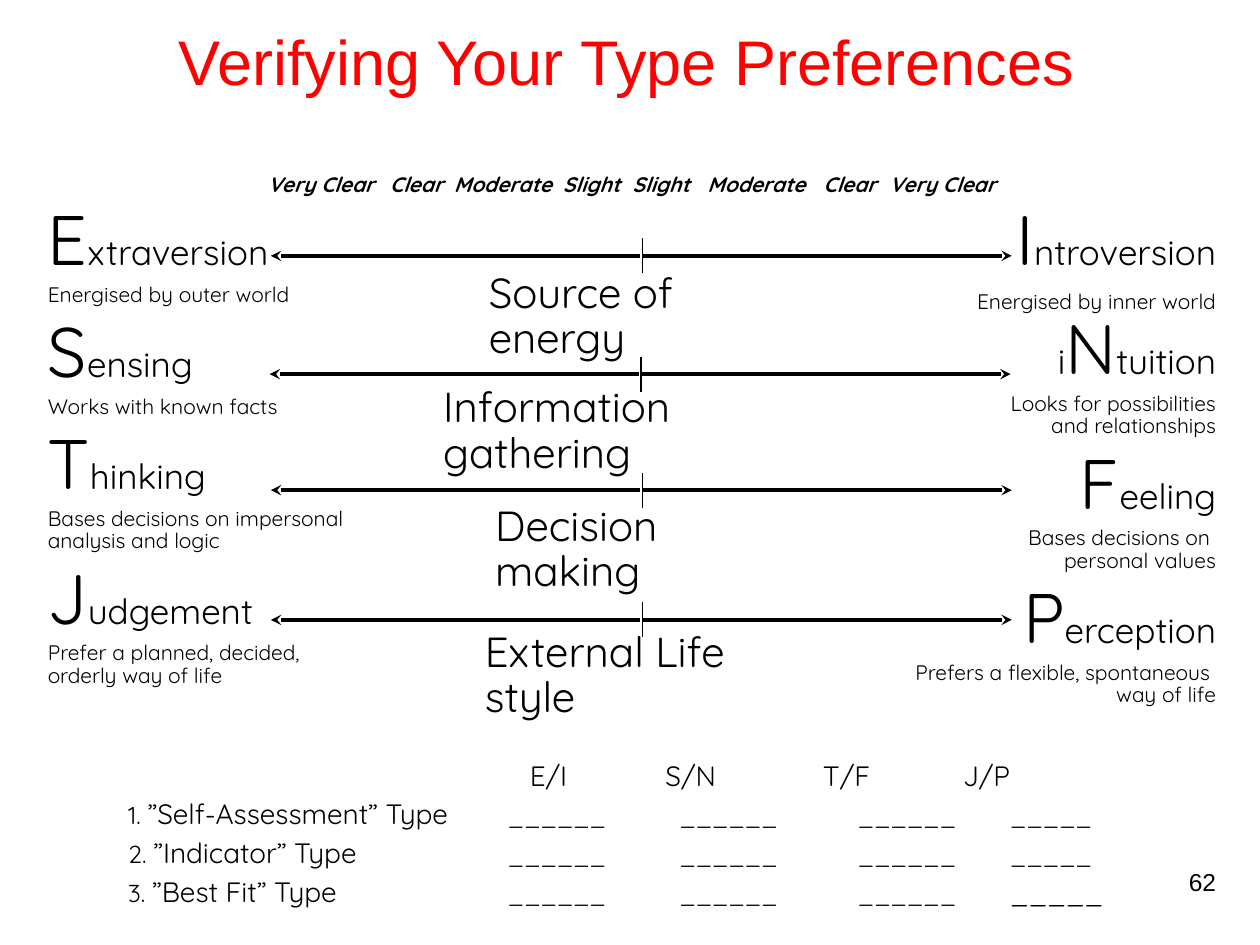
import copy
import pptx
import pptx.dml.color
import pptx.enum.text
import pptx.oxml.ns
import pptx.oxml.xmlchemy
import pptx.util
from lxml import etree

Pt = pptx.util.Pt
RGBColor = pptx.dml.color.RGBColor
qn = pptx.oxml.ns.qn
PP_ALIGN = pptx.enum.text.PP_ALIGN
MSO_ANCHOR = pptx.enum.text.MSO_ANCHOR
BLACK = RGBColor(0, 0, 0)
RED = RGBColor(0xFF, 0, 0)


class Page:
    """The current slide and its text and line style."""
    font = "Quicksand"

    def __init__(self, prs):
        self.s = prs.slides.add_slide(prs.slide_layouts[6])

    def runs(self, p, parts, font, color, bold):
        """Add (text, size) parts; a vertical tab in the text breaks the line."""
        for text, size in parts:
            for i, piece in enumerate(text.split("\v")):
                if i:
                    p.add_line_break()
                    p._p[-1].append(copy.deepcopy(r._r.get_or_add_rPr()))
                if not piece:
                    continue
                r = p.add_run()
                r.text = piece
                r.font.size = Pt(size)
                r.font.name = font
                r.font.color.rgb = color
                if bold:
                    r.font.bold = r.font.italic = True

    def text(self, x, y, w, h, paras, align=PP_ALIGN.LEFT, font=font, color=BLACK,
             bold=False, spacing=0.9, before=0, tabs=(), anchor=MSO_ANCHOR.TOP):
        """Text box; before is a percentage, tabs holds stops per paragraph."""
        sp = self.s.shapes.add_textbox(Pt(x), Pt(y), Pt(w), Pt(h))
        tf = sp.text_frame
        tf.word_wrap = True
        tf.vertical_anchor = anchor
        for i, parts in enumerate(paras):
            p = tf.add_paragraph() if i else tf.paragraphs[0]
            p.alignment = align
            p.line_spacing = spacing
            pPr = p._p.get_or_add_pPr()
            if before:
                spc = etree.SubElement(pPr, qn("a:spcBef"))
                etree.SubElement(spc, qn("a:spcPct")).set("val", str(before * 1000))
            if tabs:
                lst = etree.SubElement(pPr, qn("a:tabLst"))
                for pos in tabs[i]:
                    tab = etree.SubElement(lst, qn("a:tab"))
                    tab.set("pos", str(int(Pt(pos))))
                    tab.set("algn", "l")
            self.runs(p, parts, font, color, bold)
        return tf

    def line(self, x1, y1, x2, y2, width, end=None):
        """Straight line; end is headEnd or tailEnd for an arrowhead."""
        c = self.s.shapes.add_connector(1, Pt(x1), Pt(y1), Pt(x2), Pt(y2))
        c.line.color.rgb = BLACK
        c.line.width = Pt(width)
        if end:
            ln = c.line._get_or_add_ln()
            etree.SubElement(ln, qn("a:" + end)).set("type", "stealth")
        etree.SubElement(c._element.spPr, qn("a:effectLst"))

    def scale(self, x, y):
        """Two-way arrow with a tick in the middle."""
        self.line(x, y, x + 211, y, 2, "tailEnd")
        self.line(x, y - 10, x, y + 10, 1)
        self.line(x - 212.4, y, x - 1.4, y, 2, "headEnd")


def main():
    prs = pptx.Presentation()
    prs.slide_width, prs.slide_height = Pt(720), Pt(540)
    page = Page(prs)

    # Title
    page.text(95, 10.8, 543.6, 47.5, [[("Verifying Your Type Preferences", 36)]],
              font="Arial", color=RED, spacing=1.0, anchor=MSO_ANCHOR.MIDDLE)

    # Preferences on the left
    left = [("E", "xtraversion", "Energised by outer world"),
            ("S", "ensing", "Works with known facts"),
            ("T", "hinking", "Bases decisions on impersonal\vanalysis and logic"),
            ("J", "udgement", "Prefer a planned, decided,\vorderly way of life")]
    paras = []
    for initial, rest, note in left:
        paras += [[(initial, 40), (rest, 20)], [(note, 12)]]
    page.text(20.2, 113.8, 193.7, 290.9, paras, before=15)

    # Preferences on the right
    tf = page.text(506.9, 113.8, 195.1, 306.7, [
        [("I", 40), ("ntroversion", 20)],
        [("Energised by inner world\v", 12), ("i", 20), ("N", 40), ("tuition", 20)],
        [("Looks for possibilities\vand relationships", 12)],
        [("F", 40), ("eeling", 20)],
        [("Bases decisions on \vpersonal values", 12)],
        [("P", 40), ("erception", 20)],
        [("Prefers a flexible, spontaneous \vway of life", 12)],
    ], align=PP_ALIGN.RIGHT, before=15)
    tf.paragraphs[1].space_before = Pt(6)

    # Scales and what they measure
    for x, y, label_x, label_y, label in [
            (367.2, 146.2, 272.2, 151.9, "Source of\venergy"),
            (366.5, 213.8, 246.2, 217.4, "Information\vgathering"),
            (367.2, 280.1, 275.8, 285.1, "Decision\vmaking"),
            (367.2, 354.2, 270, 357.1, "External Life\vstyle")]:
        page.scale(x, y)
        page.text(label_x, label_y, 165, 60, [[(label, 24)]])

    # Degrees of clarity
    for x, words, stops in [
            (146, "Very Clear\tClear\tModerate\tSlight", (69.7, 106.3, 168.6)),
            (354.3, "Slight\tModerate\tClear\tVery Clear", (42.9, 109.1, 146.9))]:
        page.text(x, 95.8, 229, 20, [[(words, 12)]], bold=True, tabs=[stops])

    # Answer lines
    blanks = "\t______" * 3 + "\t"
    rows = [[("\tE/I\tS/N\tT/F\tJ/P", 16)]]
    for n, name in enumerate(["Self-Assessment", "Indicator", "Best Fit"], 1):
        rows.append([(f"{n}. ", 14), (f"”{name}” Type", 16), (blanks, 14),
                     ("_____", 16 if n == 3 else 14)])
    page.text(66.2, 432, 581.8, 95, rows, before=30,
              tabs=[(229.5, 307, 397, 477)] + [(217, 315, 417, 504)] * 3)

    # Page number
    page.text(671.8, 491.8, 30.2, 37.4, [[("62", 14)]], align=PP_ALIGN.RIGHT,
              font="Arial", spacing=1.0)

    prs.save("out.pptx")


if __name__ == "__main__":
    main()
